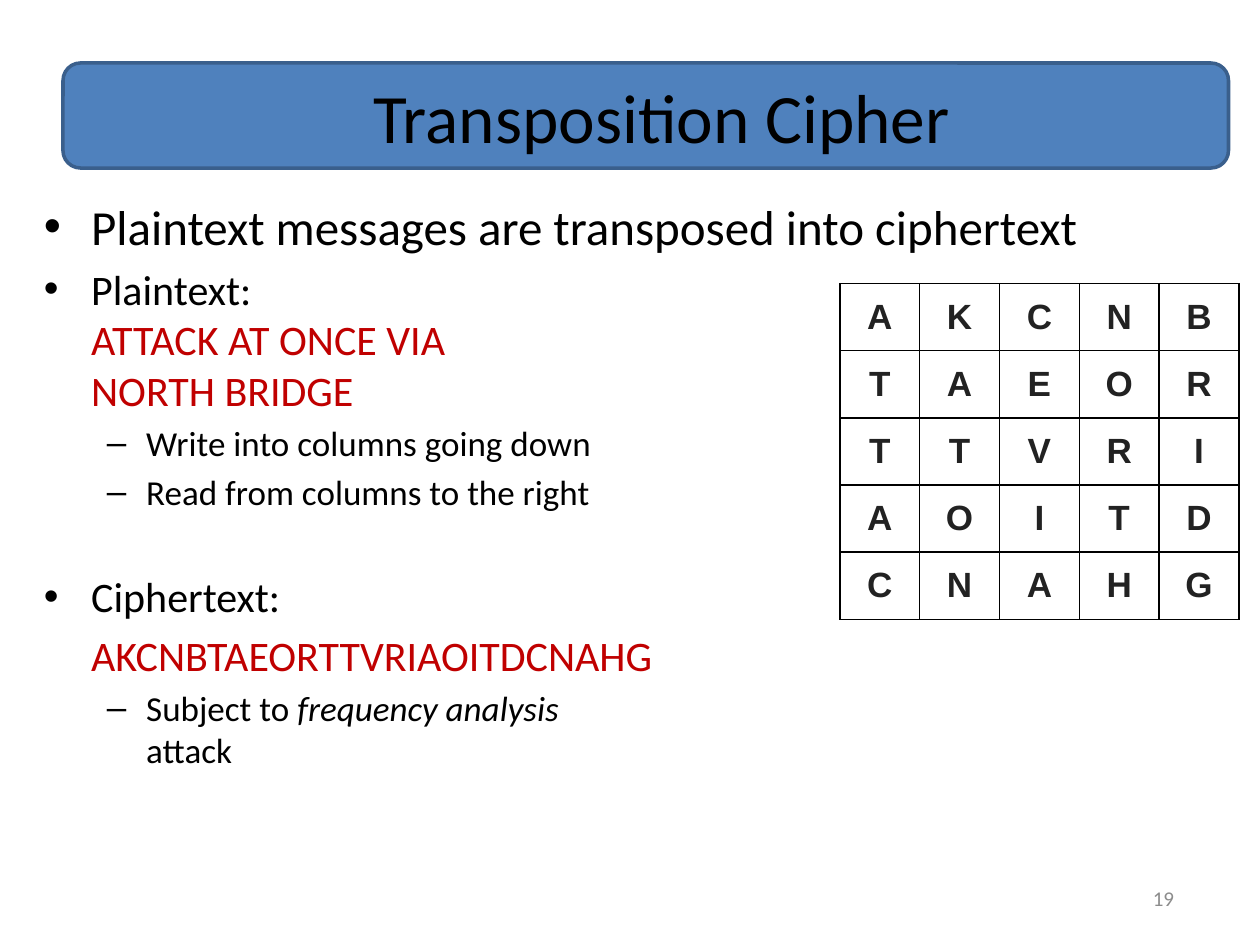
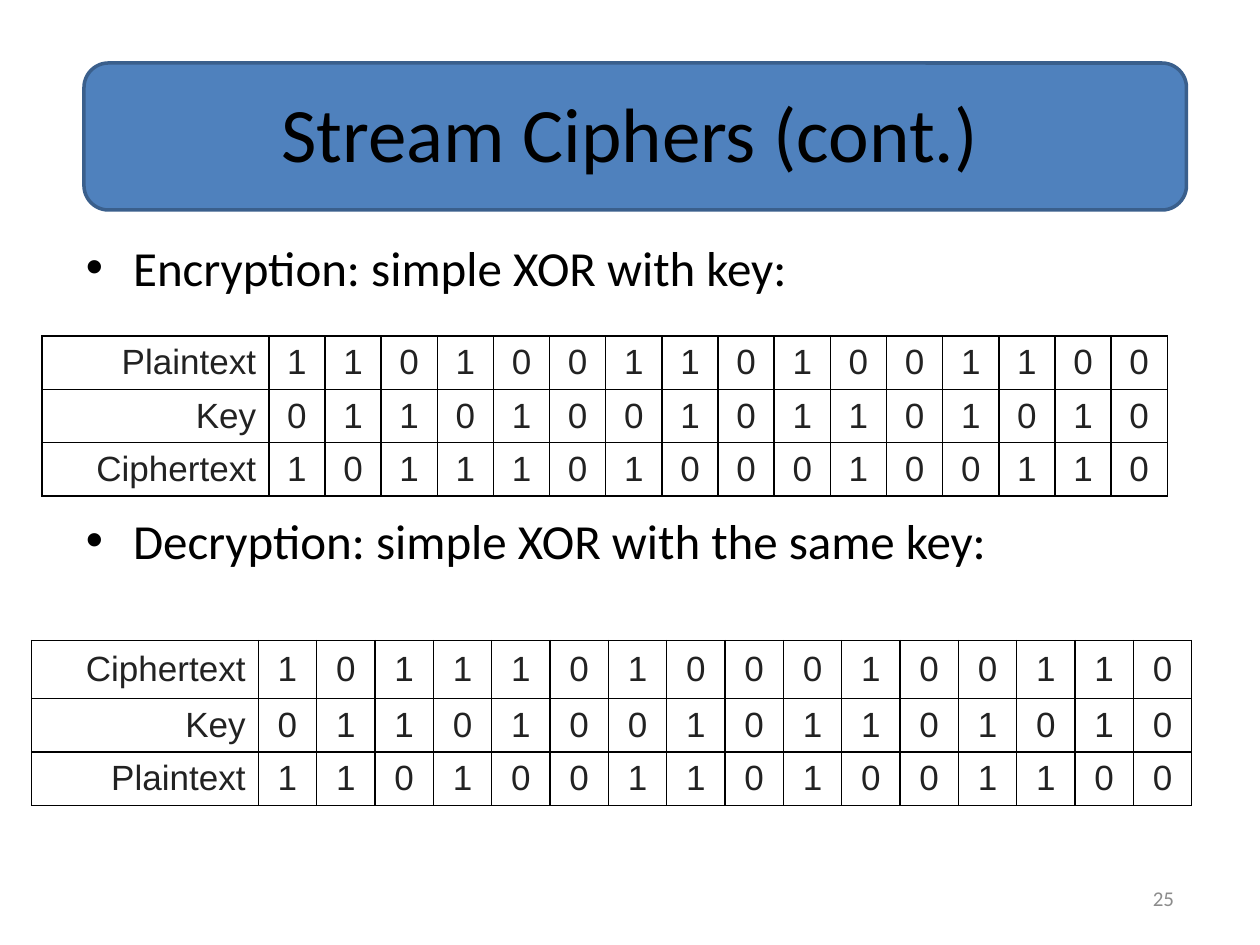
from lxml.etree import SubElement
from pptx import Presentation
from pptx.dml.color import RGBColor
from pptx.enum.shapes import MSO_SHAPE
from pptx.enum.text import MSO_ANCHOR, PP_ALIGN
from pptx.oxml.ns import qn
from pptx.util import Pt

BLACK, WHITE = "000000", "FFFFFF"
BAND, BAND_EDGE = "4F81BD", "3A5F8C"
RED, GREY, CELL_TEXT = "C00000", "8C8C8C", "222222"
BREAK = "\v"
# Bullet, left margin and hanging indent of each level
LEVELS = [("•", 27, 27), ("–", 58.5, 22.5)]


def rgb(value):
    return RGBColor.from_string(value)


class Deck:
    """Holds the style and the slide being built."""

    def __init__(self):
        self.prs = Presentation()
        self.prs.slide_width, self.prs.slide_height = Pt(720), Pt(540)
        self.s = None

    def add_slide(self):
        self.s = self.prs.slides.add_slide(self.prs.slide_layouts[6])

    def format(self, r, size, color=BLACK, font="Calibri", bold=False, italic=False):
        r.font.size, r.font.name = Pt(size), font
        r.font.bold, r.font.italic = bold, italic
        r.font.color.rgb = rgb(color)

    def text_box(self, left, top, width, height, anchor=MSO_ANCHOR.MIDDLE):
        sp = self.s.shapes.add_textbox(Pt(left), Pt(top), Pt(width), Pt(height))
        tf = sp.text_frame
        tf.word_wrap = True
        tf.vertical_anchor = anchor
        return tf

    def line(self, box, text, size, align, color=BLACK):
        p = self.text_box(*box).paragraphs[0]
        p.text, p.alignment = text, align
        self.format(p.runs[0], size, color)

    def title(self, text, size, band, box):
        left, top, width, height = map(Pt, band)
        sp = self.s.shapes.add_shape(MSO_SHAPE.ROUNDED_RECTANGLE, left, top, width, height)
        sp.shadow.inherit = False
        sp.fill.solid()
        sp.fill.fore_color.rgb = rgb(BAND)
        sp.line.color.rgb = rgb(BAND_EDGE)
        sp.line.width = Pt(2)
        self.line(box, text, size, PP_ALIGN.CENTER)

    def page_number(self, number):
        self.line((516, 498, 162, 30), str(number), 12, PP_ALIGN.RIGHT, GREY)

    def body(self, box, items):
        """Each item is (level, size, space before, has bullet, runs)."""
        tf = self.text_box(*box, anchor=MSO_ANCHOR.TOP)
        for i, (level, size, before, bulleted, runs) in enumerate(items):
            p = tf.add_paragraph() if i else tf.paragraphs[0]
            bullet, margin, hanging = LEVELS[level]
            p.level = level
            p.space_before = Pt(before)
            pPr = p._p.get_or_add_pPr()
            pPr.set("marL", str(Pt(margin)))
            pPr.set("indent", str(-Pt(hanging) if bulleted else 0))
            if bulleted:
                SubElement(pPr, qn("a:buFont"), typeface="Arial")
                SubElement(pPr, qn("a:buChar"), char=bullet)
            else:
                SubElement(pPr, qn("a:buNone"))
            for text, style in runs:
                if text == BREAK:
                    p.add_line_break()
                    continue
                r = p.add_run()
                r.text = text
                self.format(r, size, **style)

    def table(self, left, top, col_widths, row_heights, rows, bold=False):
        frame = self.s.shapes.add_table(
            len(rows), len(col_widths), Pt(left), Pt(top),
            Pt(sum(col_widths)), Pt(sum(row_heights)))
        tbl = frame.table
        tbl.first_row = tbl.horz_banding = False
        for col, width in zip(tbl.columns, col_widths):
            col.width = Pt(width)
        for row, height, values in zip(tbl.rows, row_heights, rows):
            row.height = Pt(height)
            for cell, value in zip(row.cells, values):
                self.cell(cell, value, bold)

    def cell(self, cell, value, bold):
        cell.margin_top = cell.margin_bottom = Pt(3.25)
        cell.vertical_anchor = MSO_ANCHOR.MIDDLE
        tcPr = cell._tc.get_or_add_tcPr()
        for side in ("lnL", "lnR", "lnT", "lnB"):
            ln = SubElement(tcPr, qn(f"a:{side}"), w=str(Pt(1)))
            SubElement(SubElement(ln, qn("a:solidFill")), qn("a:srgbClr"), val=BLACK)
        cell.fill.solid()
        cell.fill.fore_color.rgb = rgb(WHITE)
        p = cell.text_frame.paragraphs[0]
        p.text = value
        # Row labels are words, data cells single characters
        p.alignment = PP_ALIGN.RIGHT if len(value) > 1 else PP_ALIGN.CENTER
        self.format(p.runs[0], 20, CELL_TEXT, "Arial", bold)


def transposition_slide(deck):
    deck.add_slide()
    deck.title("Transposition Cipher", 39.6, (36, 36, 666, 60), (60, 42, 636, 48))

    # Explanation
    red = {"color": RED}
    letters = ["AKCNB", "TAEOR", "TTVRI", "AOITD", "CNAHG"]
    deck.body((18, 108.5, 684, 353.5), [
        (0, 28, 0, True, [("Plaintext messages are transposed into ciphertext", {})]),
        (0, 24, 4.8, True, [("Plaintext:", {}), (BREAK, {}),
                            ("ATTACK AT ONCE VIA", red), (BREAK, {}),
                            ("NORTH BRIDGE", red)]),
        (1, 20, 4, True, [("Write into columns going down", {})]),
        (1, 20, 4, True, [("Read from columns to the right", {})]),
        (0, 24, 33.2, True, [("Ciphertext:", {})]),
        (0, 24, 4.8, False, [("".join(letters), red)]),
        (1, 20, 4, True, [("Subject to ", {}), ("frequency analysis", {"italic": True}),
                          (BREAK, {}), ("attack", {})]),
    ])

    # Letter grid
    deck.table(480, 162, [45.6] * 5, [38.4] * 5, letters, bold=True)
    deck.page_number(19)


def stream_slide(deck):
    deck.add_slide()
    deck.title("Stream Ciphers (cont.)", 44, (48, 36, 630, 84), (42, 30, 636, 90))
    deck.body((42, 132, 598, 360), [
        (0, 28, 0, True, [("Encryption: simple XOR with key:", {})]),
        (0, 28, 122.5, True, [("Decryption: simple XOR with the same key:", {})]),
    ])

    # Bit tables: the ciphertext is plaintext XOR key
    plain, key = "1101001101001100", "0110100101101010"
    cipher = [str(int(a != b)) for a, b in zip(plain, key)]
    plain_row = ["Plaintext", *plain]
    key_row = ["Key", *key]
    cipher_row = ["Ciphertext", *cipher]
    deck.table(24, 192, [129.6] + [32.1] * 16, [29.5] * 3,
               [plain_row, key_row, cipher_row])
    deck.table(18, 366, [129.6] + [33.35] * 16, [33.2, 29.5, 29.5],
               [cipher_row, key_row, plain_row])
    deck.page_number(25)


def main():
    deck = Deck()
    transposition_slide(deck)
    stream_slide(deck)
    deck.prs.save("out.pptx")


if __name__ == "__main__":
    main()
